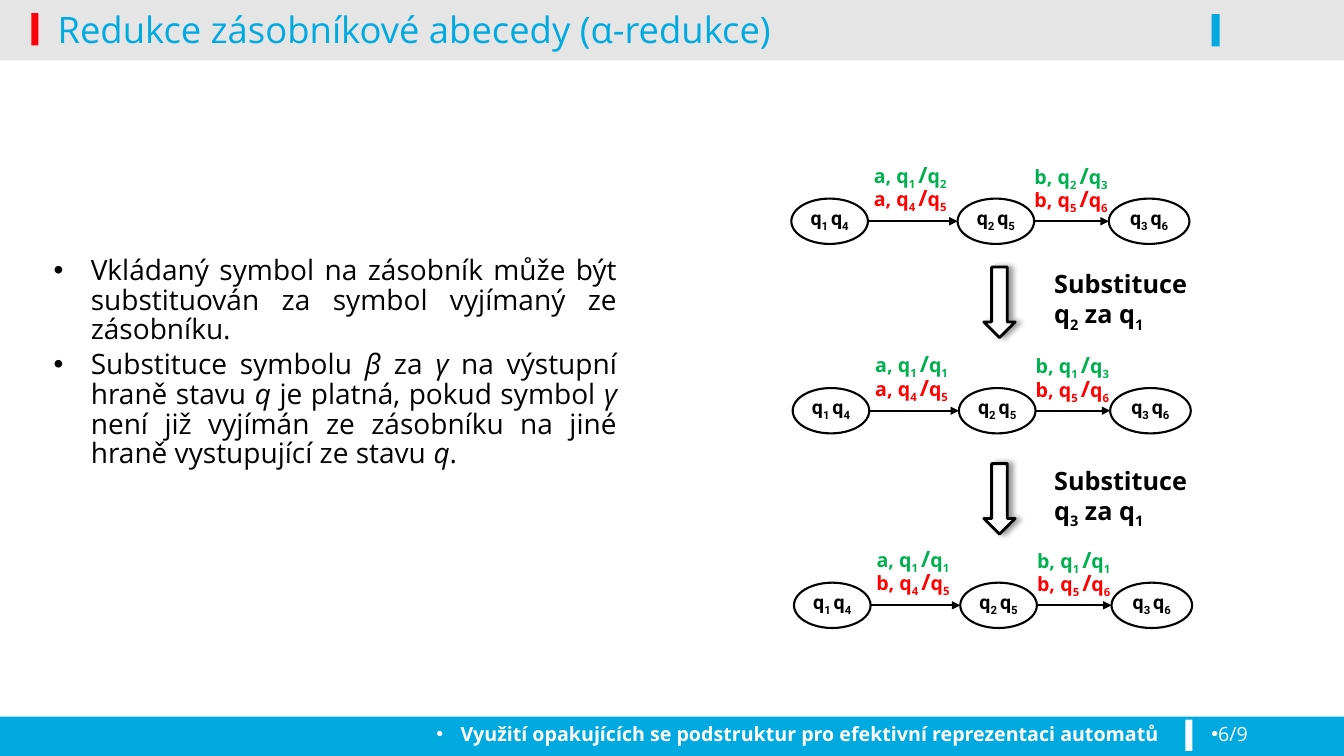
"""Build the slide on stack alphabet reduction."""
from lxml import etree
from pptx import Presentation
from pptx import util as u
from pptx.dml import color
from pptx.enum import shapes, text
from pptx.oxml import ns

WIDTH, HEIGHT = u.Inches(13.33), u.Inches(7.5)
BLUE, RED, GREEN, BLACK, WHITE = "00A9E0", "FF0000", "00B050", "000000", "FFFFFF"
ALIGN = text.PP_ALIGN
NODES = [(58.88, 5.7, "q|_1 |q|_4"), (71.25, 5.7, "q|_2 |q|_5"), (82.5, 6, "q|_3 |q|_6")]
LABELS = [(63.45, -5.2, 8.55), (75.53, -5.07, 8.33)]
AUTOMATA = [
    (26.27, [("a, q|_1 |/|q|_2", "a, q|_4 |/|q|_5"), ("b, q|_2 |/|q|_3", "b, q|_5 |/|q|_6")]),
    (51.33, [("a, q|_1 |/|q|_1", "a, q|_4 |/|q|_5"), ("b, q|_1 |/|q|_3", "b, q|_5 |/|q|_6")]),
    (77.07, [("a, q|_1 |/|q|_1", "b, q|_4 |/|q|_5"), ("b, q|_1 |/|q|_1", "b, q|_5 |/|q|_6")]),
]
SUBSTITUTIONS = [(35.33, "Substituce q|_2| za q|_1"), (61.33, "Substituce q|_3| za q|_1")]
BANDS = [
    ((0, 94.8, 100, 5.2), BLUE, 100),
    ((0, 7.47, 100, 0.53), BLACK, 10),
    ((0, 0, 100, 7.47), BLACK, 10),
    ((2.33, 1.73, 0.53, 4.27), "FE000C", 100),
    ((88.2, 95.2, 0.53, 4.13), WHITE, 100),
    ((90.15, 1.87, 0.6, 4.27), BLUE, 100),
]
POINTS = [
    "Vkládaný symbol na zásobník může být substituován za symbol vyjímaný ze zásobníku.",
    "Substituce symbolu |*β| za |*γ| na výstupní hraně stavu |*q| je platná, pokud symbol "
    "|*γ |není již vyjímán ze zásobníku na jiné hraně vystupující ze stavu |*q|.",
]


def paint(target, value):
    """Set a colour format from a hex string."""
    target.rgb = color.RGBColor.from_string(value)


def apply(target, values):
    """Set attributes from a dict of format values."""
    for name, value in values.items():
        setattr(target, name, value)


def grid(left, top, width, height):
    """Turn percentages of the slide into lengths."""
    return [int(WIDTH * left / 100), int(HEIGHT * top / 100),
            int(WIDTH * width / 100), int(HEIGHT * height / 100)]


def element(parent, tag, **attributes):
    """Append a drawing element to its parent."""
    return etree.SubElement(parent, ns.qn(tag), attributes)


def write(para, content, size, ink, layout, font="Open Sans", bold=False):
    """Write pieces split by bars, with _ for subscript and * for italic."""
    apply(para, layout)
    for piece in content.split("|"):
        span = para.add_run()
        span.text = piece.lstrip("_*")
        apply(span.font, {"name": font, "size": u.Pt(16 if piece == "/" else size),
                          "bold": bold, "italic": piece.startswith("*")})
        paint(span.font.color, ink)
        if piece.startswith("_"):
            span.font._element.set("baseline", "-25000")


def bullet(para, indent):
    """Give a paragraph a round bullet with a hanging indent in inches."""
    properties = para._p.get_or_add_pPr()
    properties.set("marL", str(u.Inches(indent)))
    properties.set("indent", str(-u.Inches(indent)))
    element(properties, "a:buFont", typeface="Arial")
    element(properties, "a:buChar", char="•")


def textbox(slide, place):
    """Add a wrapping text box and return its frame."""
    frame = slide.shapes.add_textbox(*grid(*place)).text_frame
    frame.word_wrap = True
    return frame


def figure(slide, kind, place, fill, line=0):
    """Add a filled preset shape with an optional black outline."""
    shape = slide.shapes.add_shape(kind, *grid(*place))
    shape.shadow.inherit = False
    shape.fill.solid()
    paint(shape.fill.fore_color, fill)
    if line:
        paint(shape.line.color, BLACK)
        shape.line.width = u.Pt(line)
    else:
        shape.line.fill.background()
    return shape


def band(slide, place, fill, opacity):
    """Add a plain bar of the slide frame."""
    shape = figure(slide, shapes.MSO_SHAPE.RECTANGLE, place, fill)
    if opacity < 100:
        tint = shape.element.spPr.find(".//" + ns.qn("a:srgbClr"))
        element(tint, "a:alpha", val=str(opacity * 1000))


def state(slide, place, content):
    """Add an oval automaton state."""
    oval = figure(slide, shapes.MSO_SHAPE.OVAL, place, WHITE, 1.5)
    apply(oval.text_frame, {"margin_left": 0, "margin_right": 0,
                            "vertical_anchor": text.MSO_ANCHOR.BOTTOM})
    write(oval.text_frame.paragraphs[0], content, 14, BLACK,
          {"alignment": ALIGN.CENTER}, "Roboto", True)


def transition(slide, start, end, middle):
    """Add an arrow between two states."""
    left, top, width, _ = grid(start, middle, end - start, 0)
    arrow = slide.shapes.add_connector(shapes.MSO_CONNECTOR.CURVE, left, top, left + width, top)
    paint(arrow.line.color, BLACK)
    arrow.line.width = u.Pt(1.5)
    element(arrow.line._get_or_add_ln(), "a:tailEnd", type="triangle")
    element(arrow.element.spPr, "a:effectLst")


def automaton(slide, top, shift, labels):
    """Add one row of states, transitions and labels."""
    for left, width, content in NODES:
        state(slide, (left + shift, top, width, 6), content)
    for (left, width, _), (end, _, _) in zip(NODES, NODES[1:]):
        transition(slide, left + width + shift, end + shift, top + 3)
    for (left, rise, width), (upper, lower) in zip(LABELS, labels):
        frame = textbox(slide, (left + shift, top + rise, width, 10))
        layout = {"alignment": ALIGN.CENTER, "line_spacing": 0.8}
        write(frame.paragraphs[0], upper, 14, GREEN, layout, bold=True)
        write(frame.add_paragraph(), lower, 14, RED, layout, bold=True)


def substitution(slide, top, content):
    """Add a block arrow and the substitution beside it."""
    arrow = figure(slide, shapes.MSO_SHAPE.DOWN_ARROW, (73.2, top, 2.33, 9.33), WHITE, 2)
    effects = arrow.element.spPr.find(ns.qn("a:effectLst"))
    shadow = element(effects, "a:outerShdw", blurRad=str(u.Pt(4)), dist=str(u.Pt(3)), dir="0")
    element(element(shadow, "a:srgbClr", val=BLACK), "a:alpha", val="40000")
    frame = textbox(slide, (77.7, top, 12.83, 9.47))
    write(frame.paragraphs[0], content, 18, BLACK, {"line_spacing": 0.9}, bold=True)


def footer(slide, place, content, alignment, indent, bold):
    """Add a bulleted footer text."""
    para = textbox(slide, place).paragraphs[0]
    write(para, content, 14, WHITE, {"alignment": alignment, "line_spacing": 0.9}, bold=bold)
    bullet(para, indent)


def placeholder(holder, place, anchor):
    """Move a placeholder to the front of the slide and return its frame."""
    apply(holder, dict(zip(("left", "top", "width", "height"), grid(*place))))
    holder.element.getparent().append(holder.element)
    apply(holder.text_frame, {"word_wrap": True, "vertical_anchor": anchor,
                              "auto_size": text.MSO_AUTO_SIZE.NONE})
    return holder.text_frame


def main():
    """Build and save the deck."""
    deck = Presentation()
    deck.slide_width, deck.slide_height = WIDTH, HEIGHT
    slide = deck.slides.add_slide(deck.slide_layouts[1])
    for place, fill, opacity in BANDS:
        band(slide, place, fill, opacity)
    footer(slide, (1.2, 95.2, 85.8, 4.8),
           "Využití opakujících se podstruktur pro efektivní reprezentaci automatů",
           ALIGN.RIGHT, 0.24, True)
    footer(slide, (89.4, 95.2, 9.08, 4.8), "6/9", ALIGN.LEFT, 0, False)
    title = placeholder(slide.shapes.title, (3.53, -1.47, 86.25, 10.53), text.MSO_ANCHOR.MIDDLE)
    write(title.paragraphs[0], "Redukce zásobníkové abecedy (α-redukce)", 26, BLUE,
          {"alignment": ALIGN.LEFT})
    for index, (top, labels) in enumerate(AUTOMATA):
        automaton(slide, top, index * 0.1, labels)
    for top, content in SUBSTITUTIONS:
        substitution(slide, top, content)
    body = placeholder(slide.placeholders[1], (3.23, 33.33, 43.43, 33.33), text.MSO_ANCHOR.TOP)
    for index, content in enumerate(POINTS):
        para = body.add_paragraph() if index else body.paragraphs[0]
        write(para, content, 20, BLACK, {"alignment": ALIGN.JUSTIFY, "line_spacing": 0.88,
                                         "space_before": u.Pt(4)})
        bullet(para, 0.37)
    deck.save("out.pptx")


if __name__ == "__main__":
    main()
